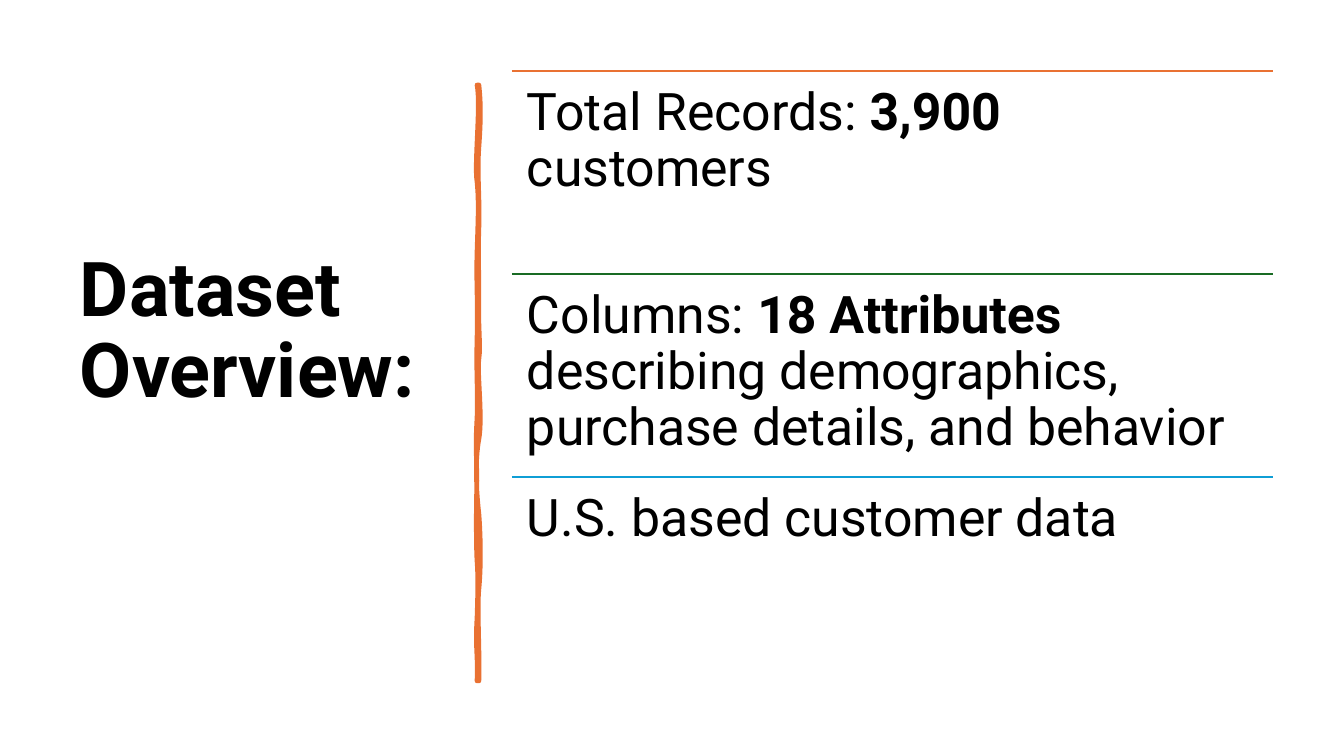
from lxml.etree import SubElement
from pptx import Presentation
from pptx.dml.color import RGBColor
from pptx.enum.shapes import MSO_CONNECTOR as Link
from pptx.enum.text import MSO_ANCHOR as Anchor
from pptx.oxml.ns import qn
from pptx.util import Pt

BLACK = RGBColor(0x00, 0x00, 0x00)
ORANGE = RGBColor(0xE9, 0x71, 0x32)
GREEN = RGBColor(0x19, 0x6B, 0x24)
BLUE = RGBColor(0x0F, 0x9E, 0xD5)
FONT = "Roboto"

TITLE = [("Dataset Overview:", True)]
# rule colour, runs of (text, bold)
FACTS = [
    (ORANGE, [("Total Records: ", False), ("3,900", True), (" customers", False)]),
    (GREEN, [("Columns: ", False), ("18 Attributes", True),
             (" describing demographics, purchase details, and behavior", False)]),
    (BLUE, [("U.S. based customer data", False)]),
]

# Hand-drawn bar: each curve is two control points and an end point, in px
START = (479, 85)
CURVES = [
    ((481, 103), (481, 120), (479, 147)),
    ((477, 174), (480, 197), (479, 228)),
    ((478, 259), (479, 264), (479, 296)),
    ((478, 328), (481, 345), (479, 359)),
    ((477, 373), (483, 417), (479, 439)),
    ((475, 461), (476, 488), (479, 514)),
    ((481, 540), (481, 569), (479, 589)),
    ((477, 608), (480, 655), (479, 681)),
    ((478, 681), (477, 681), (477, 681)),
    ((478, 651), (475, 649), (477, 618)),
    ((478, 588), (478, 575), (477, 561)),
    ((476, 548), (476, 499), (477, 481)),
    ((477, 463), (475, 449), (477, 418)),
    ((478, 389), (476, 376), (477, 338)),
    ((478, 300), (476, 283), (477, 252)),
    ((478, 220), (479, 202), (477, 182)),
    ((474, 164), (481, 105), (477, 85)),
]

SCALE = 914400 / 100.8
WIDE, HIGH = 1344, 756
TITLE_BOX = (70, 71, 377, 523)
LIST_X, LIST_Y, LIST_W, ROW_H = 512, 71, 761, 203
PAD = 15


def emu(px):
    return round(px * SCALE)


def add_text(slide, box, runs, size, **frame_format):
    frame = slide.shapes.add_textbox(*map(emu, box)).text_frame
    for name, value in {"word_wrap": True, **frame_format}.items():
        setattr(frame, name, value)
    para = frame.paragraphs[0]
    para.line_spacing = 0.9
    for text, bold in runs:
        run = para.add_run()
        run.text = text
        run.font.color.rgb = BLACK
        for name, value in {"name": FONT, "size": Pt(size), "bold": bold}.items():
            setattr(run.font, name, value)


def add_rule(slide, y, color):
    rule = slide.shapes.add_connector(
        Link.STRAIGHT, emu(LIST_X), emu(y), emu(LIST_X + LIST_W), emu(y))
    rule.line.color.rgb = color
    rule.line.width = Pt(1.5)
    SubElement(rule._element.spPr, qn("a:effectLst"))


def bend(shape, curves):
    """Turn each straight segment of the outline into a cubic curve."""
    segments = list(shape._element.iter(qn("a:lnTo")))
    for segment, curve in zip(segments, curves):
        segment.tag = qn("a:cubicBezTo")
        segment.clear()
        for x, y in curve:
            SubElement(segment, qn("a:pt"), x=str(emu(x) - shape.left),
                       y=str(emu(y) - shape.top))


def add_bar(slide):
    pen = slide.shapes.build_freeform(*map(emu, START))
    ends = [tuple(map(emu, curve[-1])) for curve in CURVES]
    pen.add_line_segments(ends, close=True)
    bar = pen.convert_to_shape()
    bend(bar, CURVES)
    bar.shadow.inherit = False
    bar.fill.solid()
    bar.fill.fore_color.rgb = ORANGE
    bar.line.color.rgb = ORANGE
    bar.line.width = Pt(3.25)
    SubElement(bar.line._get_or_add_ln(), qn("a:round"))


def main():
    deck = Presentation()
    deck.slide_width, deck.slide_height = emu(WIDE), emu(HIGH)
    slide = deck.slides.add_slide(deck.slide_layouts[6])
    add_text(slide, TITLE_BOX, TITLE, 54, vertical_anchor=Anchor.MIDDLE)
    add_bar(slide)
    sides = ("left", "top", "right", "bottom")
    pads = {f"margin_{side}": emu(PAD) for side in sides}
    for row, (color, runs) in enumerate(FACTS):
        y = LIST_Y + row * ROW_H
        add_rule(slide, y, color)
        add_text(slide, (LIST_X, y, LIST_W, ROW_H), runs, 37, **pads)
    deck.save("out.pptx")


if __name__ == "__main__":
    main()
